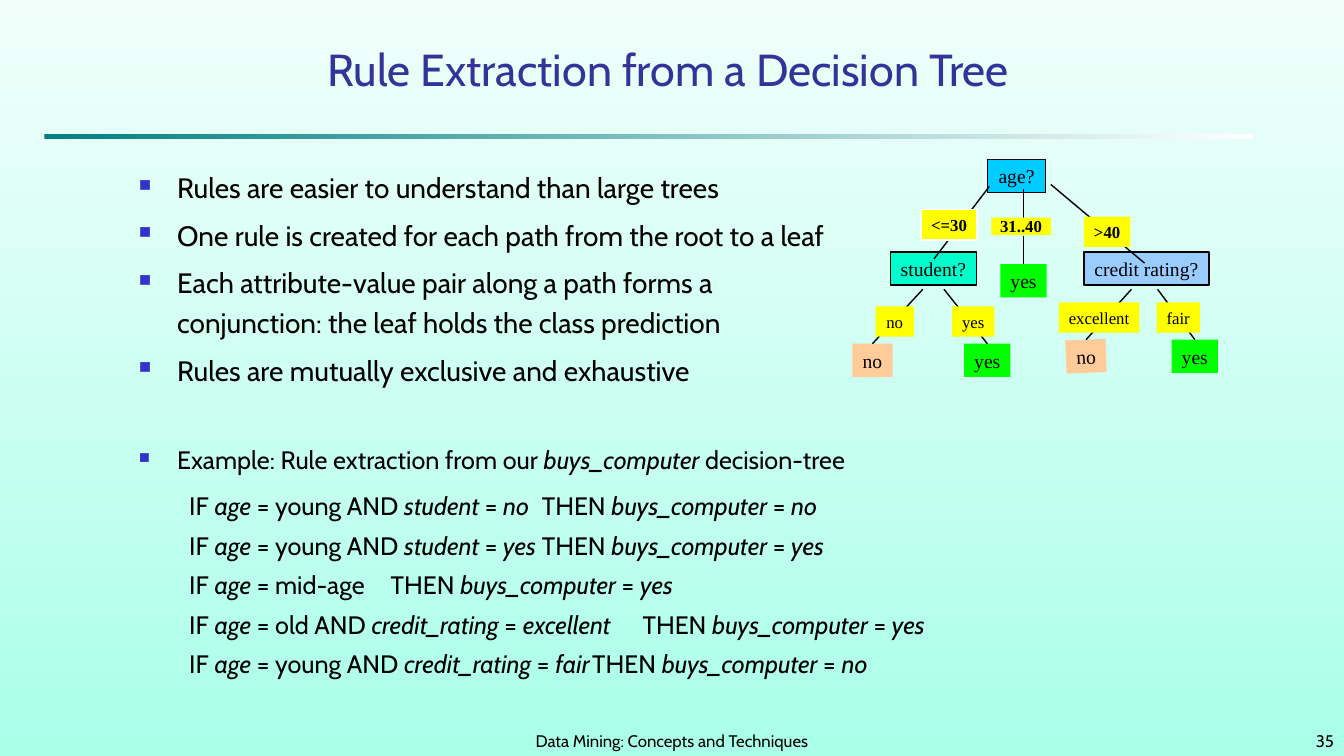
"""Build the slide on extracting rules from a decision tree."""
from dataclasses import dataclass
from typing import Any, Optional

from lxml import etree
from pptx import Presentation
from pptx import util as u
from pptx.dml import color, fill
from pptx.enum import shapes, text
from pptx.oxml import ns

RGB = color.RGBColor
BLACK = RGB(0x00, 0x00, 0x00)
WHITE = RGB(0xFF, 0xFF, 0xFF)
MINT_LIGHT = RGB(0xF1, 0xFF, 0xFB)
MINT = RGB(0xAA, 0xFF, 0xE9)
TEAL = RGB(0x00, 0x80, 0x80)
TITLE_BLUE = RGB(0x33, 0x33, 0x99)
BULLET_BLUE = RGB(0x33, 0x33, 0xCC)
SKY = RGB(0x00, 0xCC, 0xFF)
AQUA = RGB(0x00, 0xFF, 0xCC)
PALE_BLUE = RGB(0x99, 0xCC, 0xFF)
YELLOW = RGB(0xFF, 0xFF, 0x00)
GREEN = RGB(0x00, 0xFF, 0x00)
PEACH = RGB(0xFF, 0xCC, 0x99)

SANS = "Cabin"
SERIF = "Times New Roman"
ALIGN = text.PP_ALIGN
ANCHOR = text.MSO_ANCHOR
TOP = 0


@dataclass(frozen=True)
class Node:
    """A box of the tree."""
    label: str
    left: float
    top: float
    width: float
    height: float
    colour: RGB
    outline: Optional[RGB] = None
    size: int = 14
    bold: bool = False
    rotation: float = 0


@dataclass(frozen=True)
class Branch:
    """A line of the tree, ending at a point or on top of a leaf."""
    start: tuple[float, float]
    end: tuple[float, float] = (0, 0)
    leaf: Optional[int] = None


@dataclass(frozen=True)
class Rule:
    """A rule with the tab stop of its conclusion."""
    condition: str
    conclusion: str
    stop: float


NODES = [
    Node("age?", 9.8, 1.58, 0.58, 0.33, SKY, BLACK),
    Node("student?", 8.84, 2.5, 0.85, 0.33, AQUA, BLACK),
    Node("credit rating?", 10.76, 2.5, 1.24, 0.33, PALE_BLUE, BLACK),
]
LEAVES = [
    Node("no", 8.46, 3.41, 0.4, 0.33, PEACH),
    Node("yes", 9.57, 3.41, 0.46, 0.33, GREEN),
    Node("yes", 9.93, 2.62, 0.46, 0.33, GREEN),
    Node("no", 10.58, 3.37, 0.4, 0.33, PEACH, rotation=357.6),
    Node("yes", 11.63, 3.37, 0.46, 0.33, GREEN),
]
BRANCHES = [
    Branch((9.82, 1.85), (9.27, 2.57)),
    Branch((10.16, 1.88), (10.16, 2.18)),
    Branch((10.43, 1.83), (11.36, 2.61)),
    Branch((9.16, 2.87), leaf=0),
    Branch((9.37, 2.87), leaf=1),
    Branch((10.16, 2.34), leaf=2),
    Branch((11.23, 2.87), leaf=3),
    Branch((11.49, 2.87), leaf=4),
]
BRANCH_LABELS = [
    Node("<=30", 9.14, 2.08, 0.56, 0.3, YELLOW, WHITE, 12, True),
    Node("31..40", 9.84, 2.16, 0.59, 0.17, YELLOW, None, 12, True),
    Node(">40", 10.76, 2.15, 0.46, 0.3, YELLOW, None, 12, True),
    Node("no", 8.69, 3.04, 0.38, 0.3, YELLOW, None, 12),
    Node("yes", 9.45, 3.04, 0.42, 0.3, YELLOW, None, 12),
    Node("excellent", 10.51, 3, 0.8, 0.3, YELLOW, None, 12),
    Node("fair", 11.48, 3, 0.43, 0.3, YELLOW, None, 12),
]
POINTS = [
    "Rules are easier to understand than large trees",
    "One rule is created for each path from the root to a leaf",
    "Each attribute-value pair along a path forms a conjunction: "
    "the leaf holds the class prediction",
    "Rules are mutually exclusive and exhaustive",
]
EXAMPLE = "Example: Rule extraction from our *buys_computer* decision-tree"
RULES = [
    Rule("young AND *student* = *no*", "no", 4.62),
    Rule("young AND *student* = *yes*", "yes", 4.62),
    Rule("mid-age", "yes", 5.05),
    Rule("old AND *credit_rating* = *excellent*", "yes", 4.81),
    Rule("young AND *credit_rating* = *fair*", "no", 4.77),
]


def set_values(target: Any, values: dict[str, Any]) -> None:
    """Set each named attribute of the target."""
    for name, value in values.items():
        setattr(target, name, value)


def add_element(parent: Any, tag: str, **attributes: str) -> Any:
    """Append a drawing element to its parent."""
    return etree.SubElement(parent, ns.qn(tag), attributes)


def set_gradient(target: fill.FillFormat, colours: tuple[RGB, RGB], angle: int) -> None:
    """Fill with a two-colour linear gradient."""
    target.gradient()
    target.gradient_angle = angle
    for stop, colour in zip(target.gradient_stops, colours):
        stop.color.rgb = colour


def write(paragraph: Any, content: str, size: int, name: str = SANS,
          colour: RGB = BLACK, bold: bool = False) -> None:
    """Write runs, with the parts between asterisks in italics."""
    for index, part in enumerate(content.split("*")):
        if part:
            run = paragraph.add_run()
            run.text = part
            set_values(run.font, {"size": u.Pt(size), "name": name, "bold": bold,
                                  "italic": index % 2 == 1})
            run.font.color.rgb = colour


def add_box(slide: Any, left: float, top: float, width: float, height: float,
            anchor: Any = ANCHOR.TOP) -> Any:
    """Add a wrapping text box and return its frame."""
    box = slide.shapes.add_textbox(*map(u.Inches, (left, top, width, height)))
    set_values(box.text_frame, {"word_wrap": True, "vertical_anchor": anchor})
    return box.text_frame


def add_paragraph(frame: Any, line_spacing: float, space_before: float) -> Any:
    """Add a spaced paragraph, using the empty first one if there is one."""
    first = frame.paragraphs[0]
    is_first = not first.runs
    paragraph = first if is_first else frame.add_paragraph()
    set_values(paragraph, {"line_spacing": line_spacing,
                           "space_before": u.Pt(0 if is_first else space_before)})
    return paragraph


def add_bullet(paragraph: Any) -> None:
    """Give the paragraph a square bullet and a hanging indent."""
    properties = paragraph._p.get_or_add_pPr()
    indent = u.Inches(0.38)
    properties.set("marL", str(indent))
    properties.set("indent", str(-indent))
    add_element(add_element(properties, "a:buClr"), "a:srgbClr", val=str(BULLET_BLUE))
    add_element(properties, "a:buSzPct", val="60000")
    add_element(properties, "a:buChar", char="■")


def add_rule(frame: Any, rule: Rule, space_before: float) -> None:
    """Add a rule whose conclusion starts at a tab stop."""
    paragraph = add_paragraph(frame, 1.1, space_before)
    properties = paragraph._p.get_or_add_pPr()
    properties.set("marL", "0")
    properties.set("indent", str(u.Inches(0.5)))
    add_element(add_element(properties, "a:tabLst"), "a:tab",
                pos=str(u.Inches(rule.stop)), algn="l")
    write(paragraph, f"IF *age* = {rule.condition}\tTHEN *buys_computer* = *{rule.conclusion}*", 18)


def add_node(tree: Any, node: Node) -> Any:
    """Draw a box of the tree."""
    place = map(u.Inches, (node.left, node.top, node.width, node.height))
    shape = tree.shapes.add_shape(shapes.MSO_SHAPE.RECTANGLE, *place)
    shape.shadow.inherit = False
    shape.rotation = node.rotation
    shape.fill.solid()
    shape.fill.fore_color.rgb = node.colour
    if node.outline is None:
        shape.line.fill.background()
    else:
        shape.line.color.rgb = node.outline
        shape.line.width = u.Pt(1)
    set_values(shape.text_frame, {"word_wrap": False, "vertical_anchor": ANCHOR.MIDDLE})
    paragraph = shape.text_frame.paragraphs[0]
    paragraph.alignment = ALIGN.CENTER
    write(paragraph, node.label, node.size, SERIF, bold=node.bold)
    return shape


def add_branch(tree: Any, branch: Branch, leaves: list[Any]) -> None:
    """Draw a line of the tree."""
    ends = map(u.Inches, branch.start + branch.end)
    if branch.leaf is not None:
        leaf = leaves[branch.leaf]
        ends = (*map(u.Inches, branch.start), leaf.left + leaf.width // 2, leaf.top)
    line = tree.shapes.add_connector(shapes.MSO_CONNECTOR.STRAIGHT, *ends)
    if branch.leaf is not None:
        line.end_connect(leaves[branch.leaf], TOP)
    line.line.color.rgb = BLACK
    line.line.width = u.Pt(1)
    add_element(line._element.spPr, "a:effectLst")


def main() -> None:
    """Build and save the slide."""
    presentation = Presentation()
    set_values(presentation, {"slide_width": u.Inches(13.34), "slide_height": u.Inches(7.5)})
    slide = presentation.slides.add_slide(presentation.slide_layouts[6])
    set_gradient(slide.background.fill, (MINT_LIGHT, MINT), 270)

    bar = slide.shapes.add_shape(shapes.MSO_SHAPE.RECTANGLE,
                                 *map(u.Inches, (0.44, 1.33, 11.99, 0.05)))
    bar.shadow.inherit = False
    bar.line.fill.background()
    set_gradient(bar.fill, (TEAL, WHITE), 0)

    for content, place, size, colour, alignment in (
        ("Rule Extraction from a Decision Tree", (1.83, 0.33, 9.61, 0.67), 32, TITLE_BLUE, ALIGN.CENTER),
        ("Data Mining: Concepts and Techniques", (4.56, 7.08, 4.22, 0.42), 12, BLACK, ALIGN.CENTER),
        ("35", (10.56, 7.08, 2.78, 0.42), 12, BLACK, ALIGN.RIGHT),
    ):
        paragraph = add_box(slide, *place, ANCHOR.BOTTOM).paragraphs[0]
        paragraph.alignment = alignment
        write(paragraph, content, size, colour=colour)

    points = add_box(slide, 1.28, 1.58, 7.3, 2.92)
    for point in POINTS:
        paragraph = add_paragraph(points, 1.2, 5)
        add_bullet(paragraph)
        write(paragraph, point, 20)

    example = add_box(slide, 1.28, 4.33, 10.22, 2.58)
    paragraph = add_paragraph(example, 1.1, 0)
    add_bullet(paragraph)
    write(paragraph, EXAMPLE, 18)
    for index, rule in enumerate(RULES):
        add_rule(example, rule, 4.5 if index else 9)

    tree = slide.shapes.add_group_shape()
    for node in NODES:
        add_node(tree, node)
    leaves = [add_node(tree, leaf) for leaf in LEAVES]
    for branch in BRANCHES:
        add_branch(tree, branch, leaves)
    for label in BRANCH_LABELS:
        add_node(tree, label)

    presentation.save("out.pptx")


if __name__ == "__main__":
    main()
